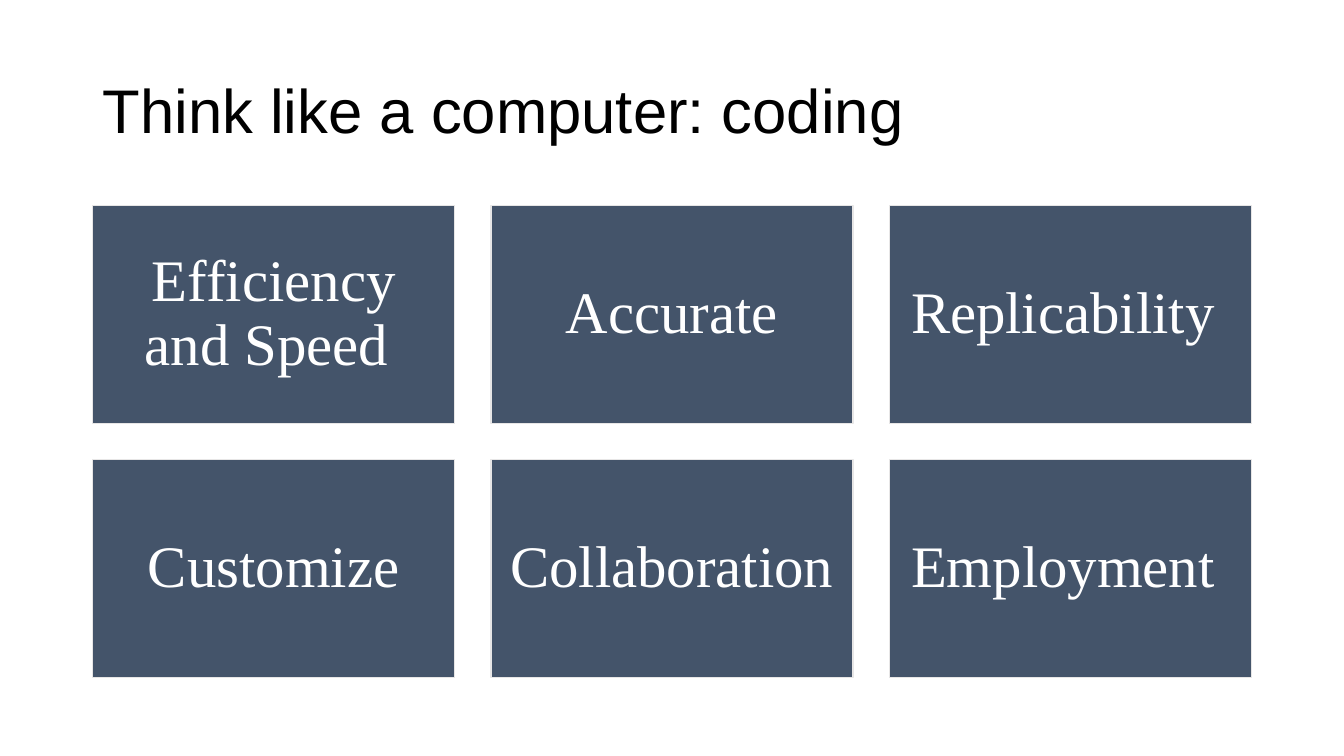
from pptx import Presentation
from pptx.dml.color import RGBColor
from pptx.enum.shapes import MSO_SHAPE
from pptx.enum.text import MSO_ANCHOR, PP_ALIGN
from pptx.util import Emu, Pt

EMU_PER_PX = 9144
BLACK = RGBColor(0x00, 0x00, 0x00)
WHITE = RGBColor(0xFF, 0xFF, 0xFF)
SLATE = RGBColor(0x44, 0x54, 0x6A)
PALE_GREY = RGBColor(0xE7, 0xE6, 0xE6)

BENEFITS = [
    "Efficiency and Speed ",
    "Accurate",
    "Replicability ",
    "Customize",
    "Collaboration",
    "Employment ",
]
COLUMNS = 3
LEFT, TOP = 92, 204
CARD_WIDTH, CARD_HEIGHT = 359, 216
GAP = 36


def px(length):
    """Turn whole pixels into EMU."""
    return Emu(length * EMU_PER_PX)


def write(frame, text, *, font, size, color, align=PP_ALIGN.LEFT, inset=(10, 5)):
    """Fill a text frame with one formatted, vertically centred paragraph."""
    frame.word_wrap = True
    frame.vertical_anchor = MSO_ANCHOR.MIDDLE
    frame.margin_left = frame.margin_right = px(inset[0])
    frame.margin_top = frame.margin_bottom = px(inset[1])
    para = frame.paragraphs[0]
    para.alignment = align
    para.line_spacing = 0.9
    span = para.add_run()
    span.text = text
    span.font.name = font
    span.font.size = Pt(size)
    span.font.color.rgb = color


class Painter:
    """Holds the style and the current slide."""

    heading_font = "Arial"
    card_font = "Times New Roman"

    def __init__(self, page):
        """Remember the slide to draw on."""
        self.page = page

    def title(self, text, left, top, width, height):
        """Add the slide heading."""
        box = self.page.shapes.add_textbox(px(left), px(top), px(width), px(height))
        write(box.text_frame, text, font=self.heading_font, size=44, color=BLACK)

    def card(self, text, left, top, width, height):
        """Add a filled rectangle with a centred label."""
        card = self.page.shapes.add_shape(
            MSO_SHAPE.RECTANGLE, px(left), px(top), px(width), px(height)
        )
        card.shadow.inherit = False
        card.fill.solid()
        card.fill.fore_color.rgb = SLATE
        card.line.color.rgb = PALE_GREY
        card.line.width = Pt(1)
        write(card.text_frame, text, font=self.card_font, size=42, color=WHITE,
              align=PP_ALIGN.CENTER, inset=(17, 17))


def main():
    """Build the slide and save it."""
    deck = Presentation()
    deck.slide_width, deck.slide_height = px(1333), px(750)
    painter = Painter(deck.slides.add_slide(deck.slide_layouts[6]))

    painter.title("Think like a computer: coding", LEFT, 40, 1150, 145)
    for index, benefit in enumerate(BENEFITS):
        row, column = divmod(index, COLUMNS)
        painter.card(
            benefit,
            LEFT + column * (CARD_WIDTH + GAP),
            TOP + row * (CARD_HEIGHT + GAP),
            CARD_WIDTH,
            CARD_HEIGHT,
        )

    deck.save("out.pptx")


if __name__ == "__main__":
    main()
